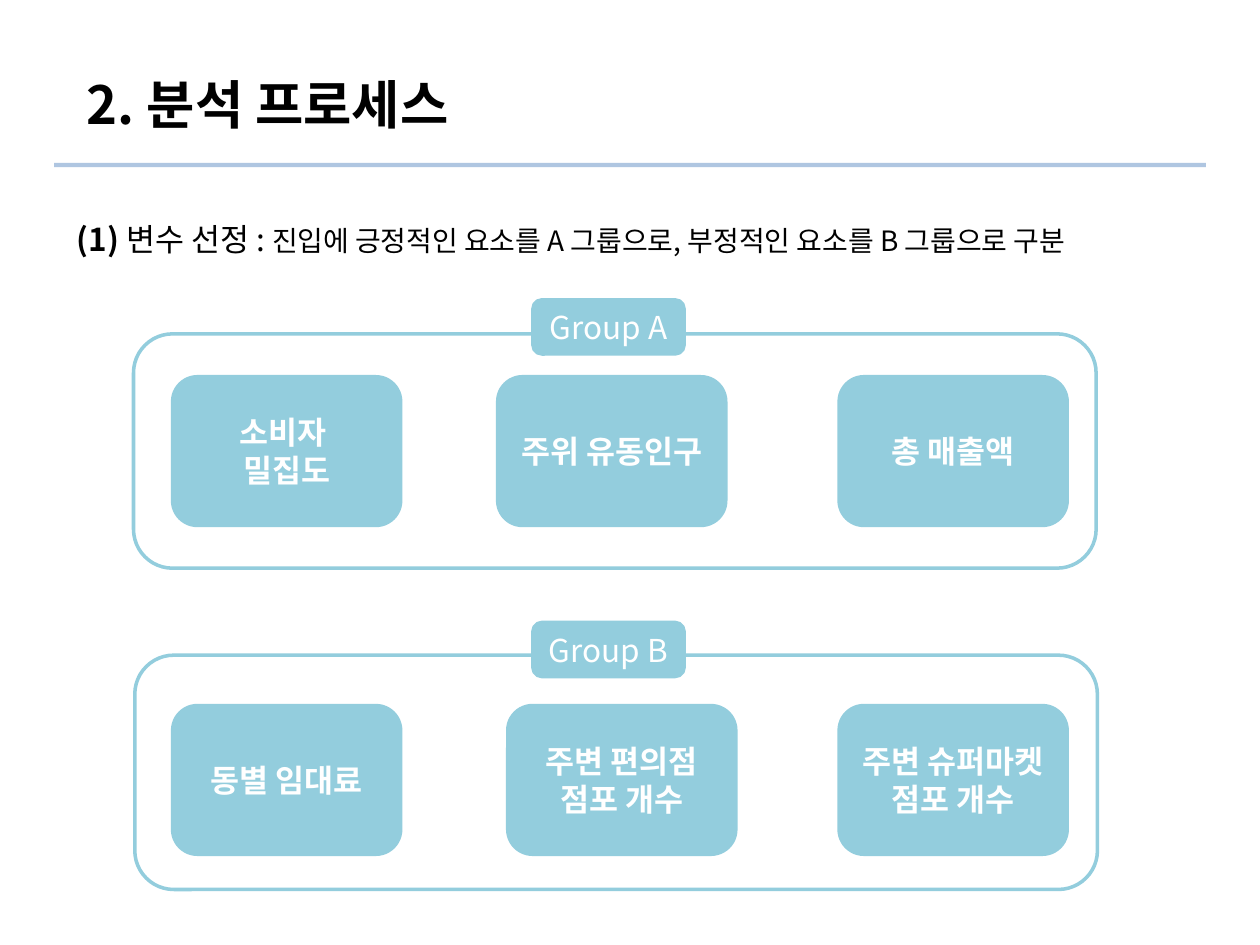
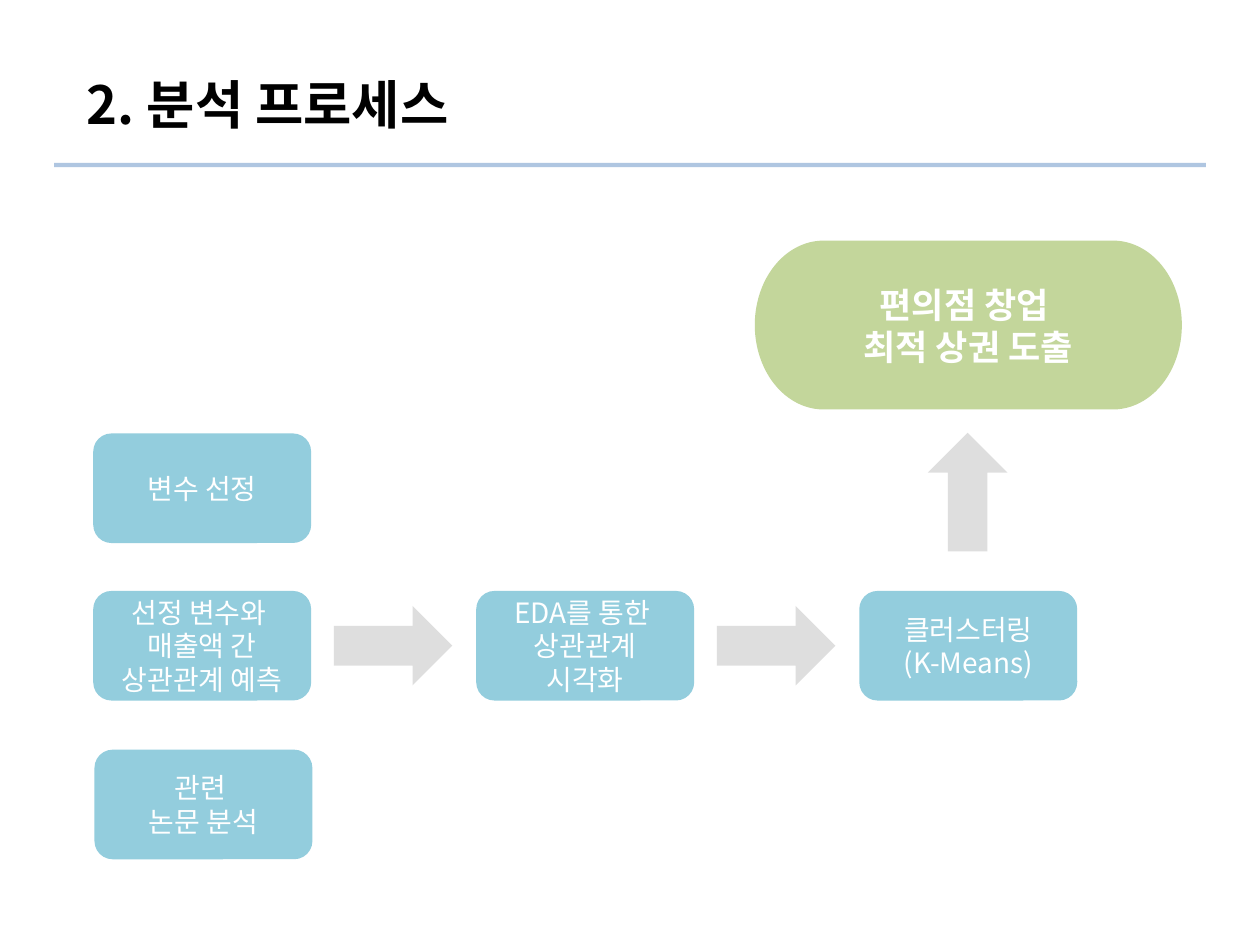
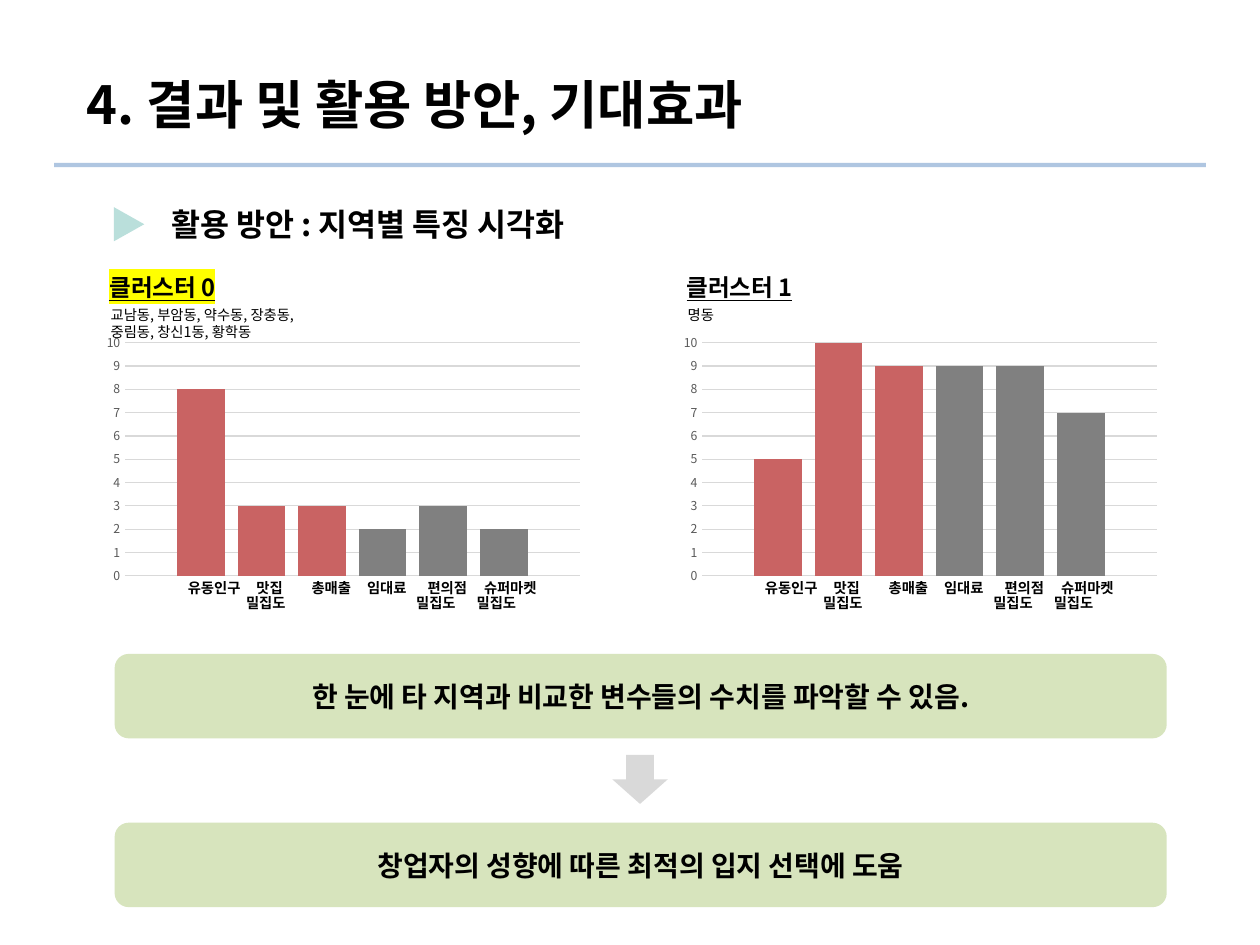
from dataclasses import dataclass

from lxml import etree
from pptx import Presentation
from pptx import util as u
from pptx.chart import data as chart_data
from pptx.dml import color as dml
from pptx.enum import chart as ch, shapes, text
from pptx.oxml import ns


@dataclass(frozen=True)
class Theme:
    font: str = "Noto Sans CJK KR"
    black: str = "000000"
    white: str = "FFFFFF"
    rule: str = "4B7EBC"
    blue: str = "93CDDD"
    green: str = "C3D69B"
    pale_green: str = "D7E4BD"
    mint: str = "BADFDB"
    arrow: str = "BFBFBF"
    grid: str = "D9D9D9"
    red: str = "C96363"
    gray: str = "808080"
    axis_text: str = "595959"
    marker: str = "FFFF00"
    title: float = 30
    goal: float = 20
    heading: float = 18
    body: float = 16
    cluster: float = 13.5
    small: float = 8.2
    axis: float = 7


T = Theme()
RGB = dml.RGBColor.from_string
SHAPE = shapes.MSO_SHAPE
ALIGN = text.PP_ALIGN


def write(frame, content, size, color=T.black, bold=False, align=ALIGN.LEFT):
    frame.word_wrap = True
    frame.text = content
    for paragraph in frame.paragraphs:
        paragraph.alignment = align
        for run in paragraph.runs:
            run.font.size = u.Pt(size)
            run.font.bold = bold
            run.font.color.rgb = RGB(color)
    return frame


def add_block(slide, preset, box, fill, outline=None, alpha=None):
    block = slide.shapes.add_shape(preset, *map(u.Inches, box))
    block.shadow.inherit = False
    block.fill.solid()
    block.fill.fore_color.rgb = RGB(fill)
    if outline:
        block.line.color.rgb = RGB(outline)
        block.line.width = u.Pt(2)
    else:
        block.line.fill.background()
    if alpha:
        tint = block.fill._xPr.find(".//" + ns.qn("a:srgbClr"))
        etree.SubElement(tint, ns.qn("a:alpha"), val=str(alpha * 1000))
    frame = block.text_frame
    frame.margin_left = frame.margin_right = u.Inches(0.05)
    frame.vertical_anchor = text.MSO_ANCHOR.MIDDLE
    return block


deck = Presentation()
deck.slide_width, deck.slide_height = u.Inches(10), u.Inches(7.5)

for heading in ("2. 분석 프로세스", "2. 분석 프로세스", "4. 결과 및 활용 방안, 기대효과"):
    slide = deck.slides.add_slide(deck.slide_layouts[5])
    title = slide.shapes.title
    title.left, title.top, title.width, title.height = map(u.Inches, (0.59, 0.52, 8.74, 0.61))
    write(title.text_frame, heading, T.title, bold=True)
    title.text_frame.auto_size = text.MSO_AUTO_SIZE.NONE
    rule = slide.shapes.add_connector(
        shapes.MSO_CONNECTOR.STRAIGHT, *map(u.Inches, (0.43, 1.31, 9.57, 1.31)))
    rule.line.color.rgb = RGB(T.rule)
    rule.line.width = u.Pt(2.5)
    rule_properties = rule._element.spPr
    etree.SubElement(rule_properties.find(".//" + ns.qn("a:srgbClr")), ns.qn("a:alpha"), val="43000")
    etree.SubElement(rule_properties, ns.qn("a:effectLst"))

variables, process, results = deck.slides

selection = variables.shapes.add_textbox(*map(u.Inches, (0.51, 1.7, 8.98, 0.4)))
write(selection.text_frame, "(1) ", T.heading, bold=True)
for phrase, size in (("변수 선정 : ", T.heading),
                     ("진입에 긍정적인 요소를 A 그룹으로, 부정적인 요소를 B 그룹으로 구분", T.body)):
    run = selection.text_frame.paragraphs[0].add_run()
    run.text = phrase
    run.font.size = u.Pt(size)
    run.font.bold = False
    run.font.color.rgb = RGB(T.black)

groups = (
    ("Group A", 1.06, 2.65, 2.38, 2.99,
     ((1.37, "소비자 \n밀집도"), (3.95, "주위 유동인구"), (6.66, "총 매출액"))),
    ("Group B", 1.07, 5.2, 4.94, 5.6,
     ((1.37, "동별 임대료"), (4.03, "주변 편의점 점포 개수"), (6.66, "주변 슈퍼마켓 점포 개수"))),
)
for group, left, top, tag_top, factor_top, factors in groups:
    add_block(variables, SHAPE.ROUNDED_RECTANGLE, (left, top, 7.64, 1.86), T.white, T.blue)
    tag = add_block(variables, SHAPE.ROUNDED_RECTANGLE, (4.23, tag_top, 1.2, 0.43), T.blue, T.blue)
    write(tag.text_frame, group, T.heading, T.white, align=ALIGN.CENTER)
    for factor_left, factor in factors:
        card = add_block(variables, SHAPE.ROUNDED_RECTANGLE,
                         (factor_left, factor_top, 1.81, 1.18), T.blue, T.blue)
        write(card.text_frame, factor, T.heading, T.white, True, ALIGN.CENTER)

steps = (
    (0.74, 3.44, "변수 선정"),
    (0.74, 4.69, "선정 변수와 \n매출액 간\n상관관계 예측"),
    (0.75, 5.95, "관련 \n논문 분석"),
    (3.78, 4.69, "EDA를 통한 \n상관관계\n시각화"),
    (6.82, 4.69, "클러스터링\n(K-Means)"),
)
for left, top, step in steps:
    card = add_block(process, SHAPE.ROUNDED_RECTANGLE, (left, top, 1.73, 0.87), T.blue)
    write(card.text_frame, step, T.body, T.white, align=ALIGN.CENTER)
for left, top, rotation in ((2.65, 4.81, 0), (5.69, 4.81, 0), (7.21, 3.59, 270)):
    arrow = add_block(process, SHAPE.RIGHT_ARROW, (left, top, 0.94, 0.63), T.arrow, alpha=50)
    arrow.rotation = rotation
goal = add_block(process, SHAPE.FLOWCHART_TERMINATOR, (5.99, 1.91, 3.39, 1.34), T.green)
write(goal.text_frame, "편의점 창업 \n최적 상권 도출", T.goal, T.white, True, ALIGN.CENTER)

pointer = add_block(results, SHAPE.ISOSCELES_TRIANGLE, (0.89, 1.66, 0.27, 0.24), T.mint)
pointer.rotation = 90
usage = results.shapes.add_textbox(*map(u.Inches, (1.26, 1.58, 3.78, 0.4)))
write(usage.text_frame, "활용 방안 : 지역별 특징 시각화", T.heading, bold=True)

for top, benefit in ((5.19, "한 눈에 타 지역과 비교한 변수들의 수치를 파악할 수 있음."),
                     (6.53, "창업자의 성향에 따른 최적의 입지 선택에 도움")):
    band = add_block(results, SHAPE.ROUNDED_RECTANGLE, (0.91, top, 8.35, 0.67), T.pale_green)
    write(band.text_frame, benefit, T.body, bold=True, align=ALIGN.CENTER)
add_block(results, SHAPE.DOWN_ARROW, (4.86, 5.99, 0.44, 0.39), T.grid)

axis_labels = (
    (1.7, 4.55, "유동인구"), (2.14, 4.55, "맛집"), (2.63, 4.55, "총매출"),
    (3.07, 4.55, "임대료"), (3.55, 4.55, "편의점"), (4.05, 4.55, "슈퍼마켓"),
    (2.11, 4.67, "밀집도"), (3.46, 4.67, "밀집도"), (3.94, 4.67, "밀집도"),
)
clusters = (
    ("클러스터 0", "교남동, 부암동, 약수동, 장충동, 중림동, 창신1동, 황학동",
     0.77, 0, (8, 3, 3, 2, 3, 2), True),
    ("클러스터 1", "명동", 5.35, 4.58, (5, 10, 9, 9, 9, 7), False),
)
for cluster, districts, left, shift, scores, marked in clusters:
    name = results.shapes.add_textbox(*map(u.Inches, (left, 2.12, 1.91, 0.33)))
    write(name.text_frame, cluster, T.cluster, bold=True)
    name_font = name.text_frame.paragraphs[0].runs[0].font
    name_font.underline = True
    if marked:
        highlight = etree.SubElement(name_font._element, ns.qn("a:highlight"))
        etree.SubElement(highlight, ns.qn("a:srgbClr"), val=T.marker)
    area = results.shapes.add_textbox(*map(u.Inches, (left + 0.01, 2.38, 1.85, 0.38)))
    write(area.text_frame, districts, T.small)

    table = chart_data.CategoryChartData()
    table.categories = ["1"]
    for number, score in enumerate(scores, 1):
        table.add_series(f"Series {number}", [score])
    profile = results.shapes.add_chart(
        ch.XL_CHART_TYPE.COLUMN_CLUSTERED,
        *map(u.Inches, (left, 2.61, 3.91, 2.07)), table).chart
    profile.has_legend = profile.has_title = False
    profile.font.name = T.font
    profile.font.size = u.Pt(10)
    plot = profile.plots[0]
    plot.gap_width, plot.overlap, plot.vary_by_categories = 219, -27, False
    for number, series in enumerate(plot.series):
        series.format.fill.solid()
        series.format.fill.fore_color.rgb = RGB(T.red if number < 3 else T.gray)

    base, scale = profile.category_axis, profile.value_axis
    for axis in (base, scale):
        axis.major_tick_mark = axis.minor_tick_mark = ch.XL_TICK_MARK.NONE
    base.tick_label_position = ch.XL_TICK_LABEL_POSITION.NONE
    scale.minimum_scale, scale.maximum_scale, scale.major_unit = 0, 10, 1
    scale.format.line.fill.background()
    scale.tick_labels.font.size = u.Pt(T.axis)
    scale.tick_labels.font.name = T.font
    scale.tick_labels.font.color.rgb = RGB(T.axis_text)
    for line in (base.format.line, scale.major_gridlines.format.line):
        line.color.rgb = RGB(T.grid)
        line.width = u.Pt(0.75)

    for center, top, label in axis_labels:
        caption = results.shapes.add_textbox(
            *map(u.Inches, (center + shift - 0.4, top, 0.8, 0.24)))
        write(caption.text_frame, label, T.small, bold=True, align=ALIGN.CENTER)

for slide in deck.slides:
    for shape in slide.shapes:
        if shape.has_text_frame:
            for paragraph in shape.text_frame.paragraphs:
                for run in paragraph.runs:
                    run.font.name = T.font
                    etree.SubElement(run.font._element, ns.qn("a:ea"), typeface=T.font)

deck.save("out.pptx")
